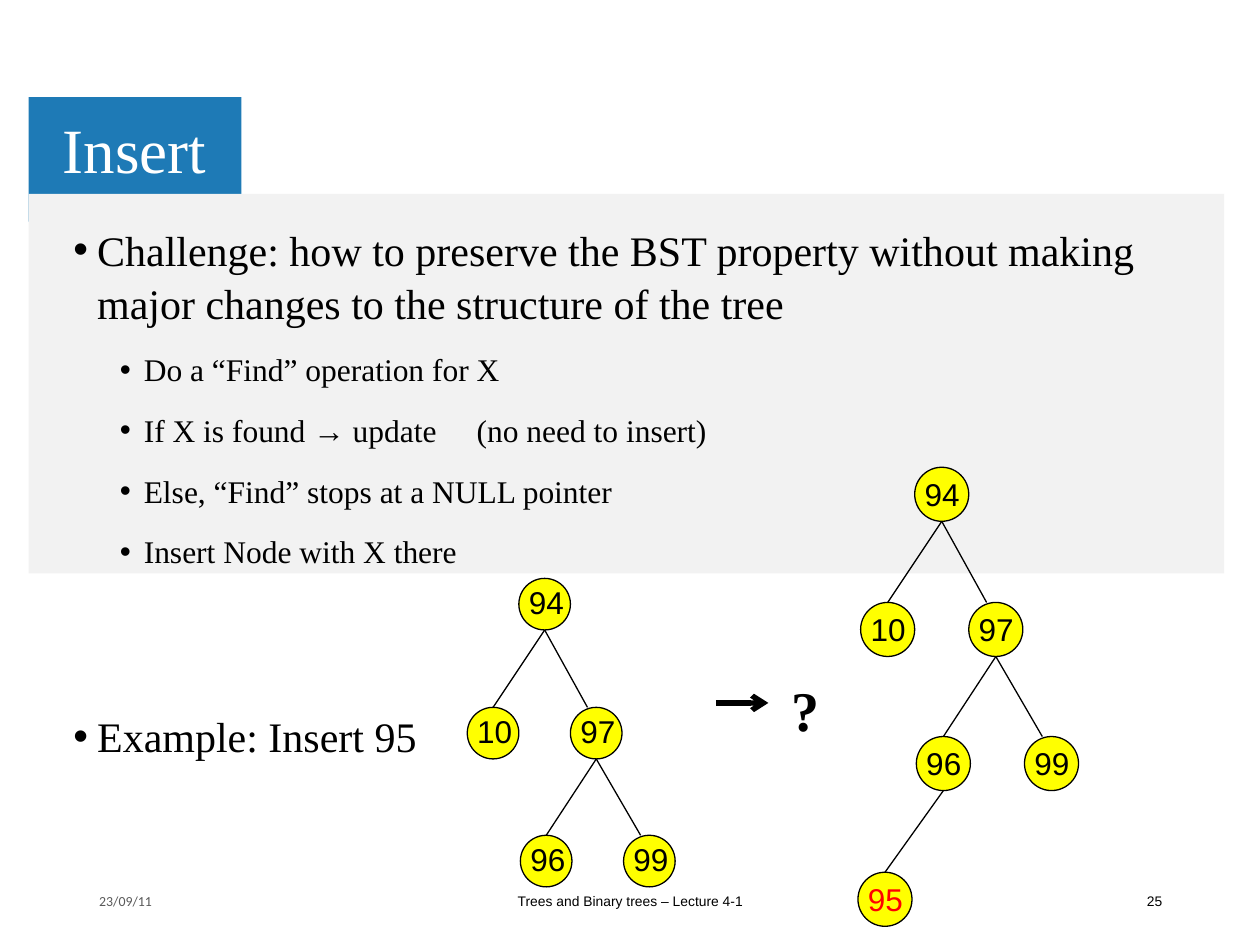
"""Build the lecture slide on inserting into a binary search tree."""
from dataclasses import dataclass, field
from typing import Any, Optional

import lxml.etree
import pptx
import pptx.dml.color
import pptx.enum.shapes
import pptx.enum.text
import pptx.oxml.ns
import pptx.util

Cm = pptx.util.Cm
Pt = pptx.util.Pt
RGBColor = pptx.dml.color.RGBColor
Align = pptx.enum.text.PP_ALIGN
Anchor = pptx.enum.text.MSO_ANCHOR
Preset = pptx.enum.shapes.MSO_SHAPE

BLACK = RGBColor(0x00, 0x00, 0x00)
WHITE = RGBColor(0xFF, 0xFF, 0xFF)
BLUE = RGBColor(0x1E, 0x7A, 0xB6)
PALE_GREY = RGBColor(0xF2, 0xF2, 0xF2)
DARK_GREY = RGBColor(0x59, 0x59, 0x59)
YELLOW = RGBColor(0xFF, 0xFF, 0x00)
RED = RGBColor(0xFF, 0x00, 0x00)
SERIF = "Times New Roman"


@dataclass(frozen=True)
class Label:
    text: str
    left: float
    top: float
    width: float
    height: float
    size: float
    font: str = "Arial"
    color: RGBColor = BLACK
    bold: bool = False
    frame: dict[str, Any] = field(default_factory=dict)
    para: dict[str, Any] = field(default_factory=dict)


@dataclass(frozen=True)
class Bullet:
    text: str
    level: int = 1
    space: float = 12
    tab: Optional[float] = None


@dataclass(frozen=True)
class Node:
    key: str
    across: float
    down: float
    parent: Optional[str] = None
    color: RGBColor = BLACK


@dataclass(frozen=True)
class Tree:
    left: float
    top: float
    diameter: float
    label_shift: float
    nodes: tuple[Node, ...]


MIDDLE = {"word_wrap": True, "vertical_anchor": Anchor.MIDDLE}
LABELS = (
    Label("Insert", 1.02, 2.08, 12.85, 2.01, 36, SERIF, WHITE,
          frame=MIDDLE, para={"line_spacing": 0.9}),
    Label("23/09/11", 1.75, 17.65, 5.72, 1.02, 7.9, "Calibri", DARK_GREY, frame=MIDDLE),
    Label("Trees and Binary trees – Lecture 4-1", 8.41, 17.65, 8.59, 1.02, 7.9,
          frame=MIDDLE, para={"alignment": Align.CENTER}),
    Label("25", 17.96, 17.65, 5.72, 1.02, 7.9,
          frame=MIDDLE, para={"alignment": Align.RIGHT}),
    Label("?", 15.7, 13.49, 1.19, 1.63, 32, SERIF, bold=True),
)
BULLETS = (
    Bullet("Challenge: how to preserve the BST property without making "
           "major changes to the structure of the tree", 0, 0),
    Bullet("Do a “Find” operation for X"),
    Bullet("If X is found → update\t(no need to insert)", tab=8.13),
    Bullet("Else, “Find” stops at a NULL pointer"),
    Bullet("Insert Node with X there"),
    Bullet("Example: Insert 95", 0, 79),
)
BULLET_SIZES = (24, 18)
BULLET_INDENTS = (0.48, 1.42)
NODES = (
    Node("94", 0, 0),
    Node("10", -1, 2.5, "94"),
    Node("97", 1, 2.5, "94"),
    Node("96", 0.03, 4.98, "97"),
    Node("99", 2.03, 4.98, "97"),
)
TREES = (
    Tree(10.46, 11.66, 1.04, -0.03, NODES),
    Tree(18.44, 9.42, 1.09, 0.03, NODES + (Node("95", -1.05, 7.49, "96", RED),)),
)


def apply(target: Any, values: dict[str, Any]) -> None:
    for name, value in values.items():
        setattr(target, name, value)


def add_element(parent: Any, tag: str, **attributes: str) -> Any:
    return lxml.etree.SubElement(parent, pptx.oxml.ns.qn(tag), attributes)


def draw_shape(shapes: Any, preset: Any, left: float, top: float, width: float,
               height: float, fill: RGBColor, outlined: bool = False) -> None:
    shape = shapes.add_shape(preset, Cm(left), Cm(top), Cm(width), Cm(height))
    shape.shadow.inherit = False
    shape.fill.solid()
    shape.fill.fore_color.rgb = fill
    if outlined:
        shape.line.color.rgb = BLACK
        shape.line.width = Pt(0.75)
    else:
        shape.line.fill.background()


def draw_line(shapes: Any, start: tuple[float, float], end: tuple[float, float],
              width: float = 0.75, arrow: bool = False) -> None:
    line = shapes.add_connector(pptx.enum.shapes.MSO_CONNECTOR.STRAIGHT,
                                *(Cm(value) for value in start + end))
    line.line.color.rgb = BLACK
    line.line.width = Pt(width)
    if arrow:
        add_element(line.line._get_or_add_ln(), "a:tailEnd", type="arrow")
    add_element(line._element.spPr, "a:effectLst")


def draw_label(shapes: Any, label: Label) -> None:
    box = shapes.add_textbox(Cm(label.left), Cm(label.top),
                             Cm(label.width), Cm(label.height))
    apply(box.text_frame, {"word_wrap": False, **label.frame})
    para = box.text_frame.paragraphs[0]
    apply(para, label.para)
    span = para.add_run()
    span.text = label.text
    apply(span.font, {"size": Pt(label.size), "name": label.font, "bold": label.bold})
    span.font.color.rgb = label.color


def draw_bullets(shapes: Any, bullets: tuple[Bullet, ...]) -> None:
    box = shapes.add_textbox(Cm(1.3), Cm(4.37), Cm(23.09), Cm(12.32))
    frame = box.text_frame
    apply(frame, {"word_wrap": True, "margin_left": Cm(0.18), "margin_right": Cm(0.18),
                  "margin_top": Cm(0.1), "margin_bottom": Cm(0.1)})
    for index, bullet in enumerate(bullets):
        para = frame.add_paragraph() if index else frame.paragraphs[0]
        properties = para._p.get_or_add_pPr()
        properties.set("marL", str(Cm(BULLET_INDENTS[bullet.level])))
        properties.set("indent", str(-Cm(BULLET_INDENTS[0])))
        add_element(properties, "a:buFont", typeface="Arial")
        add_element(properties, "a:buChar", char="•")
        if bullet.tab is not None:
            stops = add_element(properties, "a:tabLst")
            add_element(stops, "a:tab", pos=str(Cm(bullet.tab)), algn="l")
        apply(para, {"level": bullet.level, "line_spacing": 1.05,
                     "space_before": Pt(bullet.space)})
        span = para.add_run()
        span.text = bullet.text
        apply(span.font, {"size": Pt(BULLET_SIZES[bullet.level]), "name": SERIF})
        span.font.color.rgb = BLACK


def draw_tree(page: Any, tree: Tree) -> None:
    shapes = page.shapes.add_group_shape().shapes
    size = tree.diameter
    corners = {node.key: (tree.left + node.across * size, tree.top + node.down * size)
               for node in tree.nodes}
    for node in tree.nodes:
        left, top = corners[node.key]
        draw_shape(shapes, Preset.OVAL, left, top, size, size, YELLOW, True)
        if node.parent is not None:
            parent_left, parent_top = corners[node.parent]
            reach = 0.33 if left > parent_left else 0.5
            draw_line(shapes, (parent_left + size / 2, parent_top + size),
                      (left + reach * size, top))
        draw_label(shapes, Label(node.key, left - 0.05, top + tree.label_shift,
                                 1.3, 1.02, 18, color=node.color))


def main() -> None:
    deck = pptx.Presentation()
    apply(deck, {"slide_width": Cm(25.4), "slide_height": Cm(19.05)})
    page = deck.slides.add_slide(deck.slide_layouts[6])
    draw_shape(page.shapes, Preset.RECTANGLE, 0.58, 1.96, 4.29, 2.51, BLUE)
    draw_shape(page.shapes, Preset.RECTANGLE, 0.58, 3.91, 24.1, 7.65, PALE_GREY)
    draw_bullets(page.shapes, BULLETS)
    for label in LABELS:
        draw_label(page.shapes, label)
    draw_line(page.shapes, (14.43, 14.17), (15.49, 14.17), 3, True)
    for tree in TREES:
        draw_tree(page, tree)
    deck.save("out.pptx")


if __name__ == "__main__":
    main()
